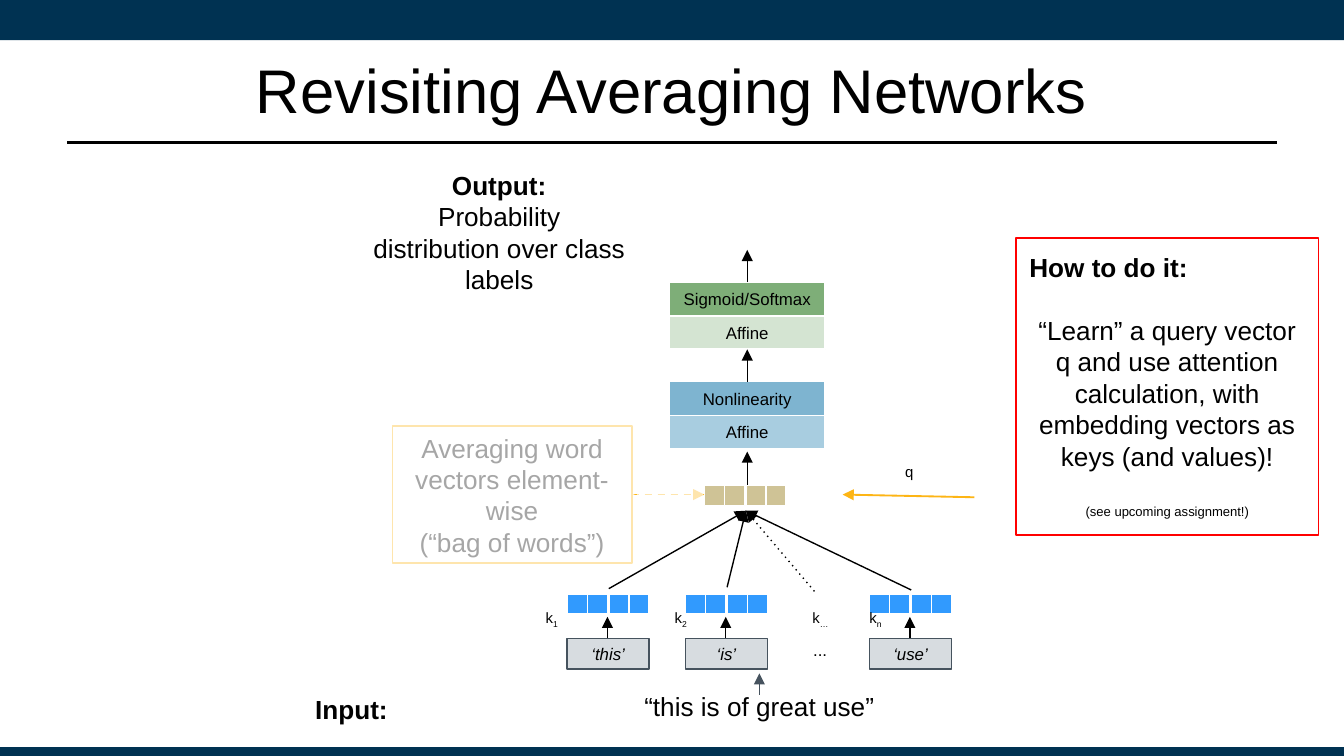
from dataclasses import dataclass
from typing import Optional

from lxml.etree import SubElement
from pptx import Presentation
from pptx.dml.color import RGBColor
from pptx.enum.shapes import MSO_CONNECTOR, MSO_SHAPE
from pptx.enum.text import MSO_ANCHOR, MSO_AUTO_SIZE, PP_ALIGN
from pptx.oxml.ns import qn
from pptx.util import Pt

PX = 9144  # EMU in one px, 100 px to the inch
FONT = "Arial"
COLORS = {
    "navy": "003252", "black": "000000", "white": "FFFFFF", "gold": "FDB515",
    "red": "FF0000", "slate": "46535E", "gray": "D7DCE0", "key": "319AFE",
    "average": "CFC396", "green": "7EAE78", "light green": "D4E4D2",
    "blue": "7EB4D0", "light blue": "A8CDE0",
}


@dataclass
class Run:
    text: str
    size: float = 14
    bold: bool = False
    italic: bool = False
    subscript: bool = False
    break_after: bool = False


@dataclass
class Para:
    runs: list[Run]
    align: PP_ALIGN = PP_ALIGN.CENTER
    before: float = 0


@dataclass
class Box:
    x: int
    y: int
    w: int
    h: int


@dataclass
class Arrow:
    x1: int
    y1: int
    x2: int
    y2: int
    color: str = "black"
    width: float = 0.75
    dash: Optional[str] = None
    head: bool = True


@dataclass
class Layer:
    text: str
    y: int
    color: str
    border: float


@dataclass
class Token:
    text: str
    x: int


def rgb(name: str) -> RGBColor:
    return RGBColor.from_string(COLORS[name])


def write(s, paras: list[Para], anchor=MSO_ANCHOR.TOP, inset: int = 7) -> None:
    tf = s.text_frame
    tf.word_wrap = True
    tf.auto_size = MSO_AUTO_SIZE.NONE
    tf.vertical_anchor = anchor
    tf.margin_left = tf.margin_right = inset * PX
    tf.margin_top = tf.margin_bottom = inset * PX
    for i, para in enumerate(paras):
        p = tf.add_paragraph() if i else tf.paragraphs[0]
        p.alignment = para.align
        if para.before:
            p.space_before = Pt(para.before)
        for run in para.runs:
            r = p.add_run()
            r.text = run.text
            r.font.name = FONT
            r.font.size = Pt(run.size)
            r.font.bold = run.bold
            r.font.italic = run.italic
            r.font.color.rgb = rgb("black")
            if run.subscript:
                r.font._element.set("baseline", "-25000")
            if run.break_after:
                p.add_line_break()


def add_rect(sp, box: Box, fill: Optional[str] = None, line: Optional[str] = None,
             width: float = 0.75, alpha: Optional[int] = None):
    """Add a rectangle; alpha is its opacity in percent."""
    s = sp.add_shape(MSO_SHAPE.RECTANGLE, box.x * PX, box.y * PX, box.w * PX, box.h * PX)
    s.shadow.inherit = False
    if fill:
        s.fill.solid()
        s.fill.fore_color.rgb = rgb(fill)
        if alpha is not None:
            color = s._element.spPr.find(qn("a:solidFill"))[0]
            SubElement(color, qn("a:alpha"), val=str(alpha * 1000))
    else:
        s.fill.background()
    if line:
        s.line.color.rgb = rgb(line)
        s.line.width = Pt(width)
    else:
        s.line.fill.background()
    return s


def add_label(sp, box: Box, paras: list[Para], inset: int = 7) -> None:
    s = sp.add_textbox(box.x * PX, box.y * PX, box.w * PX, box.h * PX)
    write(s, paras, inset=inset)


def add_arrow(sp, a: Arrow) -> None:
    s = sp.add_connector(MSO_CONNECTOR.STRAIGHT, a.x1 * PX, a.y1 * PX, a.x2 * PX, a.y2 * PX)
    s.line.color.rgb = rgb(a.color)
    s.line.width = Pt(a.width)
    ln = s.line._get_or_add_ln()
    if a.dash:
        SubElement(ln, qn("a:prstDash"), val=a.dash)
    if a.head:
        SubElement(ln, qn("a:tailEnd"), type="triangle")
    SubElement(s._element.spPr, qn("a:effectLst"))


def add_vector(sp, x: int, y: int, color: str) -> None:
    """Draw an embedding as a row of four cells."""
    for i in range(4):
        add_rect(sp, Box(x + round(15.3 * i), y, 15, 15), color, "white")


LAYERS = [
    Layer("Sigmoid/Softmax", 210, "green", 1),
    Layer("Affine", 235, "light green", 1),
    Layer("Nonlinearity", 284, "blue", 0.75),
    Layer("Affine", 309, "light blue", 0.75),
]
TOKENS = [Token("‘this’", 422), Token("‘is’", 510), Token("‘use’", 647)]
ARROWS = [
    Arrow(556, 210, 556, 186),
    Arrow(556, 284, 556, 260),
    Arrow(556, 361, 556, 336),
    Arrow(565, 517, 565, 501, "slate"),
    Arrow(453, 438, 555, 380),
    Arrow(678, 439, 555, 380),
    Arrow(606, 440, 555, 380, dash="dot"),
    Arrow(541, 437, 555, 380),
    Arrow(470, 368, 524, 368, "gold", 1, "dash"),
    Arrow(725, 370, 627, 368, "gold", 1),
]
KEYS = [("1", 365), ("2", 461), ("…", 565), ("n", 606)]


def main() -> None:
    prs = Presentation()
    prs.slide_width = 1000 * PX
    prs.slide_height = prs.slide_width * 9 // 16
    slide = prs.slides.add_slide(prs.slide_layouts[5])
    sp = slide.shapes

    title = sp.title
    title.left, title.top, title.width, title.height = 51 * PX, 31 * PX, 897 * PX, 70 * PX
    write(title, [Para([Run("Revisiting Averaging Networks", 33)])], MSO_ANCHOR.MIDDLE, 4)
    for band in (Box(0, 0, 1000, 30), Box(0, 556, 1000, 7)):
        add_rect(sp, band, "navy")
    add_arrow(sp, Arrow(50, 106, 950, 106, width=1.25, head=False))

    for layer in LAYERS:
        s = add_rect(sp, Box(498, layer.y, 116, 25), layer.color, "white", layer.border)
        write(s, [Para([Run(layer.text, 9)])], MSO_ANCHOR.MIDDLE)
    for token in TOKENS:
        s = add_rect(sp, Box(token.x, 475, 61, 23), "gray", "slate")
        write(s, [Para([Run(token.text, 9, italic=True)])], MSO_ANCHOR.MIDDLE)
        add_vector(sp, token.x, 442, "key")
        add_arrow(sp, Arrow(token.x + 30, 475, token.x + 30, 459))
    add_vector(sp, 524, 361, "average")
    add_label(sp, Box(598, 469, 35, 30), [Para([Run("...", 9)], PP_ALIGN.LEFT)])

    averaging = add_rect(sp, Box(292, 317, 178, 102), line="gold", width=1)
    write(averaging, [Para([Run("Averaging word vectors element-wise")]),
                      Para([Run("(“bag of words”)")])], MSO_ANCHOR.MIDDLE)
    for arrow in ARROWS:
        add_arrow(sp, arrow)
    for veil in (Box(247, 315, 225, 106), Box(474, 355, 49, 33)):
        add_rect(sp, veil, "white", alpha=65)

    add_label(sp, Box(270, 119, 203, 33), [
        Para([Run("Output:", bold=True, break_after=True),
              Run("Probability distribution over class labels")])])
    add_label(sp, Box(144, 509, 235, 33), [Para([Run("Input:", bold=True)])])
    add_label(sp, Box(422, 507, 286, 38), [Para([Run("“this is of great use”")])])
    how_to = add_rect(sp, Box(756, 177, 225, 221), line="red")
    write(how_to, [
        Para([Run("How to do it:", bold=True)], PP_ALIGN.LEFT),
        Para([Run("“Learn” a query vector q and use attention calculation, "
                  "with embedding vectors as keys (and values)!")], before=17),
        Para([Run("(see upcoming assignment!)", 7)], before=17)], inset=10)

    for index, x in KEYS:
        add_label(sp, Box(x, 443, 91, 34),
                  [Para([Run("k", 8), Run(index, 8, subscript=True)])], 10)
    add_label(sp, Box(631, 334, 91, 34), [Para([Run("q", 8)])], 10)
    prs.save("out.pptx")


if __name__ == "__main__":
    main()
